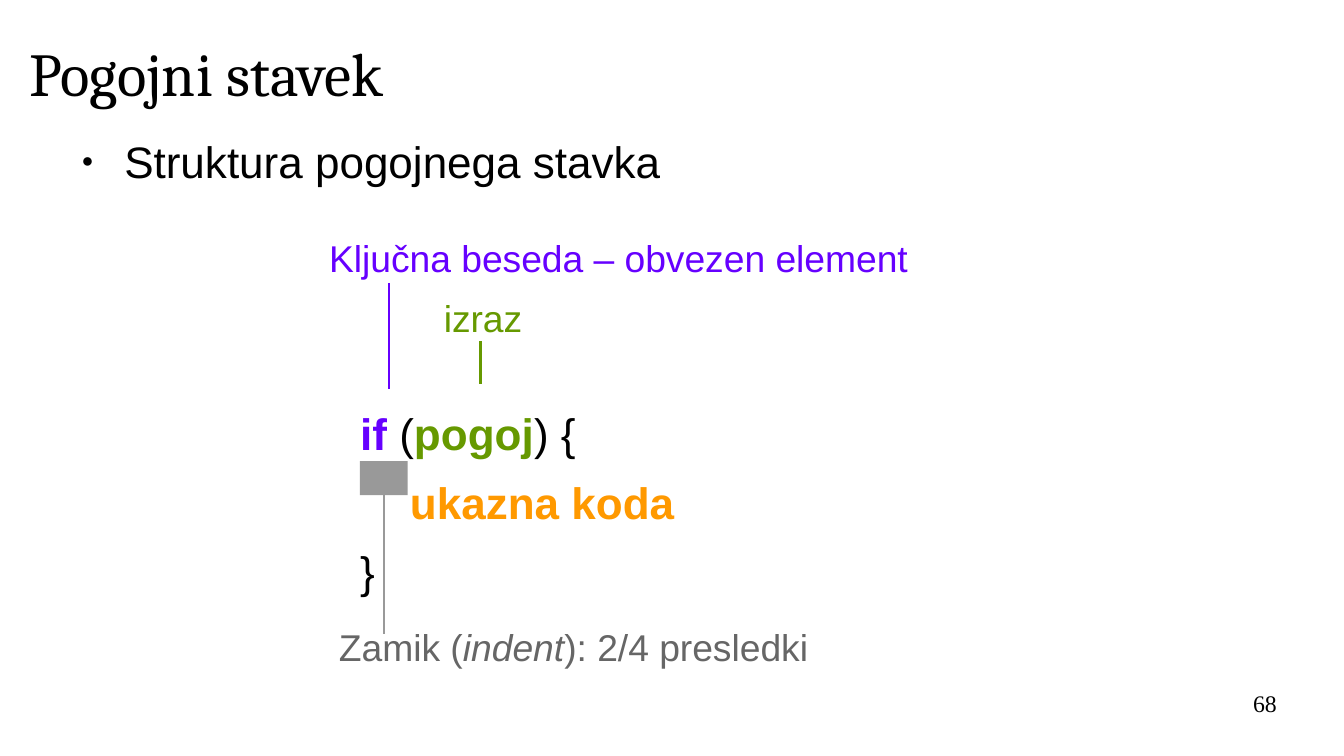
from dataclasses import dataclass

from lxml import etree
from pptx import Presentation
from pptx.dml.color import RGBColor
from pptx.enum.shapes import MSO_CONNECTOR, MSO_SHAPE
from pptx.enum.text import MSO_ANCHOR, MSO_AUTO_SIZE, PP_ALIGN
from pptx.oxml.ns import qn
from pptx.util import Pt

STRAIGHT = MSO_CONNECTOR.STRAIGHT
RECTANGLE = MSO_SHAPE.RECTANGLE
MIDDLE, TOP = MSO_ANCHOR.MIDDLE, MSO_ANCHOR.TOP
NO_AUTOFIT = MSO_AUTO_SIZE.NONE
LEFT, RIGHT = PP_ALIGN.LEFT, PP_ALIGN.RIGHT
BOTTOM_SIDE = 2

BLACK, PURPLE, GREEN, ORANGE = "000000", "6600FF", "669900", "FF9900"
GRAY, DARK_GRAY = "999999", "666666"


@dataclass(frozen=True)
class Box:
    left: float
    top: float
    width: float
    height: float


@dataclass(frozen=True)
class Piece:
    text: str
    color: str | None = None
    bold: bool | None = None
    italic: bool | None = None


@dataclass(frozen=True)
class Line:
    pieces: tuple[Piece, ...]
    size: float
    color: str = BLACK
    font: str = "Arial"
    align: PP_ALIGN = LEFT
    margin: float = 0
    space_before: float = 0
    bullet: bool = False


@dataclass(frozen=True)
class Label:
    box: Box
    line: Line
    inset: tuple[float, float] = (7.2, 3.6)


@dataclass(frozen=True)
class Pointer:
    x: float
    top: float
    bottom: float
    color: str


TITLE_BOX = Box(17.3, 10.8, 714.2, 63.4)
BODY_BOX = Box(39.6, 79.2, 748.1, 317.5)
INDENT_BOX = Box(212.5, 272.2, 28.2, 20.2)
TITLE = Line((Piece("Pogojni stavek"),), 36, font="Cambria")
BODY = (
    Line((Piece("Struktura pogojnega stavka"),), 26, margin=33.8, bullet=True),
    Line((Piece("if ", PURPLE, True), Piece("("), Piece("pogoj", GREEN, True), Piece(") {")),
         26, margin=173, space_before=129.4),
    Line((Piece("ukazna koda", ORANGE, True),), 26, margin=202.4, space_before=9.6),
    Line((Piece("}"),), 26, margin=173, space_before=9.6),
)
LABELS = (
    Label(Box(187.2, 135.4, 385.2, 31.7),
          Line((Piece("Ključna beseda – obvezen element"),), 22, PURPLE)),
    Label(Box(254.9, 170.6, 193, 31.7), Line((Piece("izraz"),), 22, GREEN)),
    Label(Box(193, 365, 385.2, 31.7),
          Line((Piece("Zamik ("), Piece("indent", italic=True), Piece("): 2/4 presledki")),
               22, DARK_GRAY)),
    Label(Box(568.8, 406.8, 185, 31),
          Line((Piece("68"),), 14, font="Times New Roman", align=RIGHT), (0, 0)),
)
POINTERS = (
    Pointer(283.7, 201.6, 226.8, GREEN),
    Pointer(229.7, 167, 229.7, PURPLE),
)
INDENT_POINTER = Pointer(226.6, 292.4, 374.4, GRAY)


def rgb(color: str) -> RGBColor:
    return RGBColor.from_string(color)


def set_bullet(paragraph, line: Line) -> None:
    properties = paragraph._p.get_or_add_pPr()
    properties.set("marL", str(Pt(line.margin)))
    properties.set("indent", str(Pt(-25.2 if line.bullet else 0)))
    if line.bullet:
        etree.SubElement(properties, qn("a:buSzPct"), val="45000")
        etree.SubElement(properties, qn("a:buChar"), char="●")
    else:
        etree.SubElement(properties, qn("a:buNone"))


def write_lines(shape, lines: tuple[Line, ...], inset: tuple[float, float], anchor=TOP) -> None:
    frame = shape.text_frame
    frame.word_wrap = True
    frame.auto_size = NO_AUTOFIT
    frame.vertical_anchor = anchor
    frame.margin_left = frame.margin_right = Pt(inset[0])
    frame.margin_top = frame.margin_bottom = Pt(inset[1])
    for index, line in enumerate(lines):
        paragraph = frame.add_paragraph() if index else frame.paragraphs[0]
        set_bullet(paragraph, line)
        paragraph.alignment = line.align
        paragraph.space_before = Pt(line.space_before)
        paragraph.font.size = Pt(line.size)
        paragraph.font.name = line.font
        paragraph.font.color.rgb = rgb(line.color)
        for piece in line.pieces:
            run = paragraph.add_run()
            run.text = piece.text
            run.font.bold = piece.bold
            run.font.italic = piece.italic
            if piece.color:
                run.font.color.rgb = rgb(piece.color)


def place(shape, box: Box) -> None:
    shape.left, shape.top = Pt(box.left), Pt(box.top)
    shape.width, shape.height = Pt(box.width), Pt(box.height)


def add_label(slide, label: Label) -> None:
    box = label.box
    shape = slide.shapes.add_textbox(Pt(box.left), Pt(box.top), Pt(box.width), Pt(box.height))
    write_lines(shape, (label.line,), label.inset)


def add_pointer(slide, pointer: Pointer):
    connector = slide.shapes.add_connector(
        STRAIGHT, Pt(pointer.x), Pt(pointer.top), Pt(pointer.x), Pt(pointer.bottom))
    connector.line.color.rgb = rgb(pointer.color)
    connector.line.width = Pt(1.5)
    etree.SubElement(connector._element.spPr, qn("a:effectLst"))
    return connector


def add_rectangle(slide, box: Box, color: str):
    shape = slide.shapes.add_shape(
        RECTANGLE, Pt(box.left), Pt(box.top), Pt(box.width), Pt(box.height))
    shape.shadow.inherit = False
    shape.fill.solid()
    shape.fill.fore_color.rgb = rgb(color)
    shape.line.fill.background()
    return shape


def main() -> None:
    presentation = Presentation()
    presentation.slide_width, presentation.slide_height = Pt(793.44), Pt(446.4)
    slide = presentation.slides.add_slide(presentation.slide_layouts[1])
    title, body = slide.shapes.title, slide.placeholders[1]
    place(title, TITLE_BOX)
    write_lines(title, (TITLE,), (0, 0), MIDDLE)
    place(body, BODY_BOX)
    write_lines(body, BODY, (0, 0))
    for label in LABELS:
        add_label(slide, label)
    for pointer in POINTERS:
        add_pointer(slide, pointer)
    indent_block = add_rectangle(slide, INDENT_BOX, GRAY)
    add_pointer(slide, INDENT_POINTER).begin_connect(indent_block, BOTTOM_SIDE)
    presentation.save("out.pptx")


if __name__ == "__main__":
    main()
